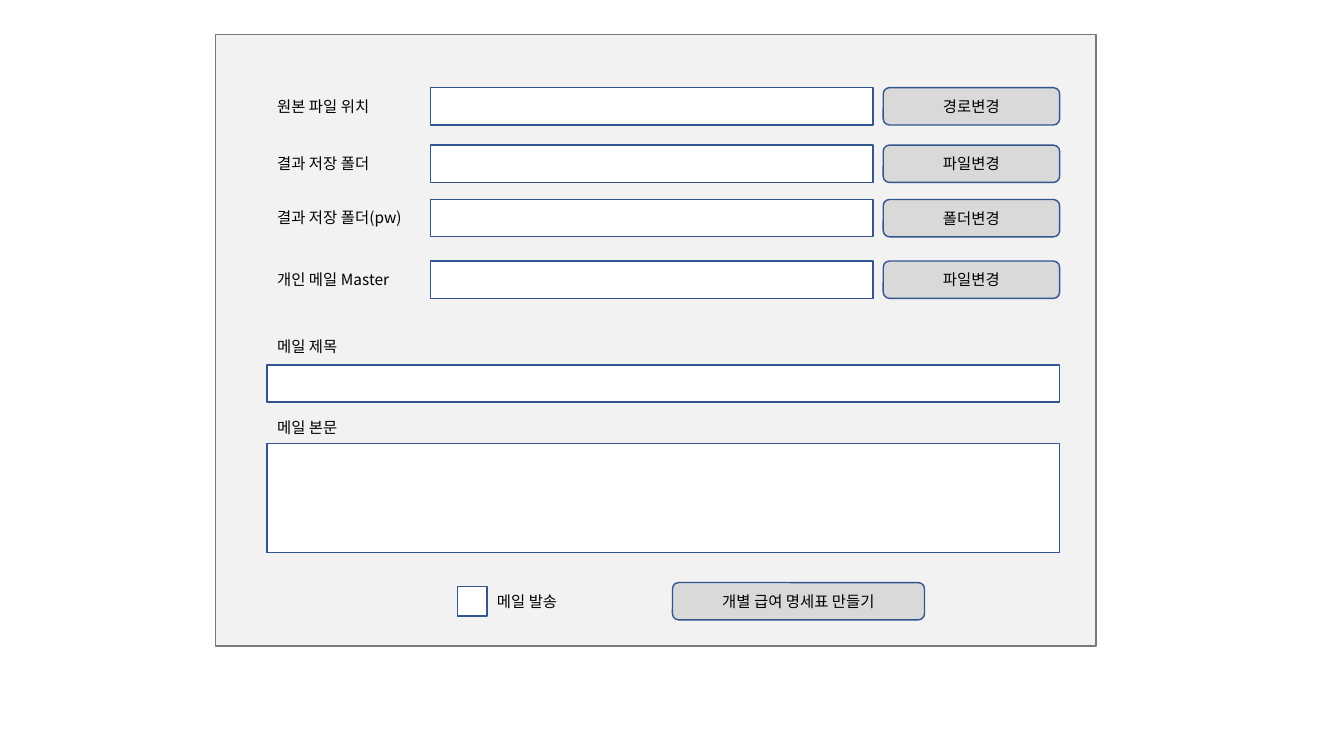
import pptx
import pptx.util
import pptx.dml.color
import pptx.enum.shapes
import pptx.enum.text
import pptx.oxml.ns
import lxml.etree

RGB = pptx.dml.color.RGBColor
KIND = pptx.enum.shapes.MSO_SHAPE
ALIGN = pptx.enum.text.PP_ALIGN
FIT = pptx.enum.text.MSO_AUTO_SIZE
ANCHOR = pptx.enum.text.MSO_ANCHOR

WHITE = RGB(0xFF, 0xFF, 0xFF)
BLACK = RGB(0x00, 0x00, 0x00)
PANEL = RGB(0xF2, 0xF2, 0xF2)
GREY = RGB(0x7A, 0x7A, 0x7A)
BLUE = RGB(0x32, 0x54, 0x91)
FACE = RGB(0xD9, 0xD9, 0xD9)

SCALE = 9144  # EMU per px, 100 px to the inch


def emu(*sizes):
    return [pptx.util.Emu(size * SCALE) for size in sizes]


class Form:
    font = "Noto Sans CJK KR"
    size = pptx.util.Pt(11)
    rule = pptx.util.Pt(1)
    high = 37

    def __init__(self, slide):
        self.slide = slide

    def box(self, x, y, w, h, fill=WHITE, line=BLUE, kind=KIND.RECTANGLE):
        shape = self.slide.shapes.add_shape(kind, *emu(x, y, w, h))
        shape.shadow.inherit = False
        shape.fill.solid()
        shape.fill.fore_color.rgb = fill
        shape.line.color.rgb = line
        shape.line.width = self.rule
        return shape

    def add_text(self, para, text):
        run = para.add_run()
        run.text = text
        run.font.size = self.size
        run.font.name = self.font
        run.font.color.rgb = BLACK
        # Hangul takes the East Asian typeface
        east = lxml.etree.SubElement(run._r.get_or_add_rPr(), pptx.oxml.ns.qn("a:ea"))
        east.set("typeface", self.font)

    def field(self, x, y, w, h=high):
        self.box(x, y, w, h)

    def button(self, x, y, w, text):
        shape = self.box(x, y, w, self.high, FACE, kind=KIND.ROUNDED_RECTANGLE)
        frame = shape.text_frame
        frame.vertical_anchor = ANCHOR.MIDDLE
        para = frame.paragraphs[0]
        para.alignment = ALIGN.CENTER
        self.add_text(para, text)

    def label(self, x, y, text):
        frame = self.slide.shapes.add_textbox(*emu(x, y, 151, 29)).text_frame
        frame.word_wrap = True
        frame.auto_size = FIT.SHAPE_TO_FIT_TEXT
        self.add_text(frame.paragraphs[0], text)

    def check(self, x, y, side, text):
        self.box(x, y, side, side, kind=KIND.ACTION_BUTTON_CUSTOM)
        self.label(x + side, y, text)


def main():
    deck = pptx.Presentation()
    deck.slide_width, deck.slide_height = emu(1333, 750)
    form = Form(deck.slides.add_slide(deck.slide_layouts[6]))
    left, wide = 265, 786

    # Window
    form.box(214, 34, 873, 607, PANEL, GREY)

    # File and folder rows
    rows = [
        (87, "원본 파일 위치", "경로변경"),
        (144, "결과 저장 폴더", "파일변경"),
        (198, "결과 저장 폴더(pw)", "폴더변경"),
        (259, "개인 메일 Master", "파일변경"),
    ]
    for top, name, action in rows:
        form.label(left, top + 4, name)
        form.field(427, top, 439)
        form.button(876, top, 175, action)

    # Mail subject and body
    form.label(left, 329, "메일 제목")
    form.field(left, 362, wide)
    form.label(left, 410, "메일 본문")
    form.field(left, 440, wide, 108)

    # Send option and run button
    form.check(454, 582, 29, "메일 발송")
    form.button(667, 578, 250, "개별 급여 명세표 만들기")

    deck.save("out.pptx")


if __name__ == "__main__":
    main()
